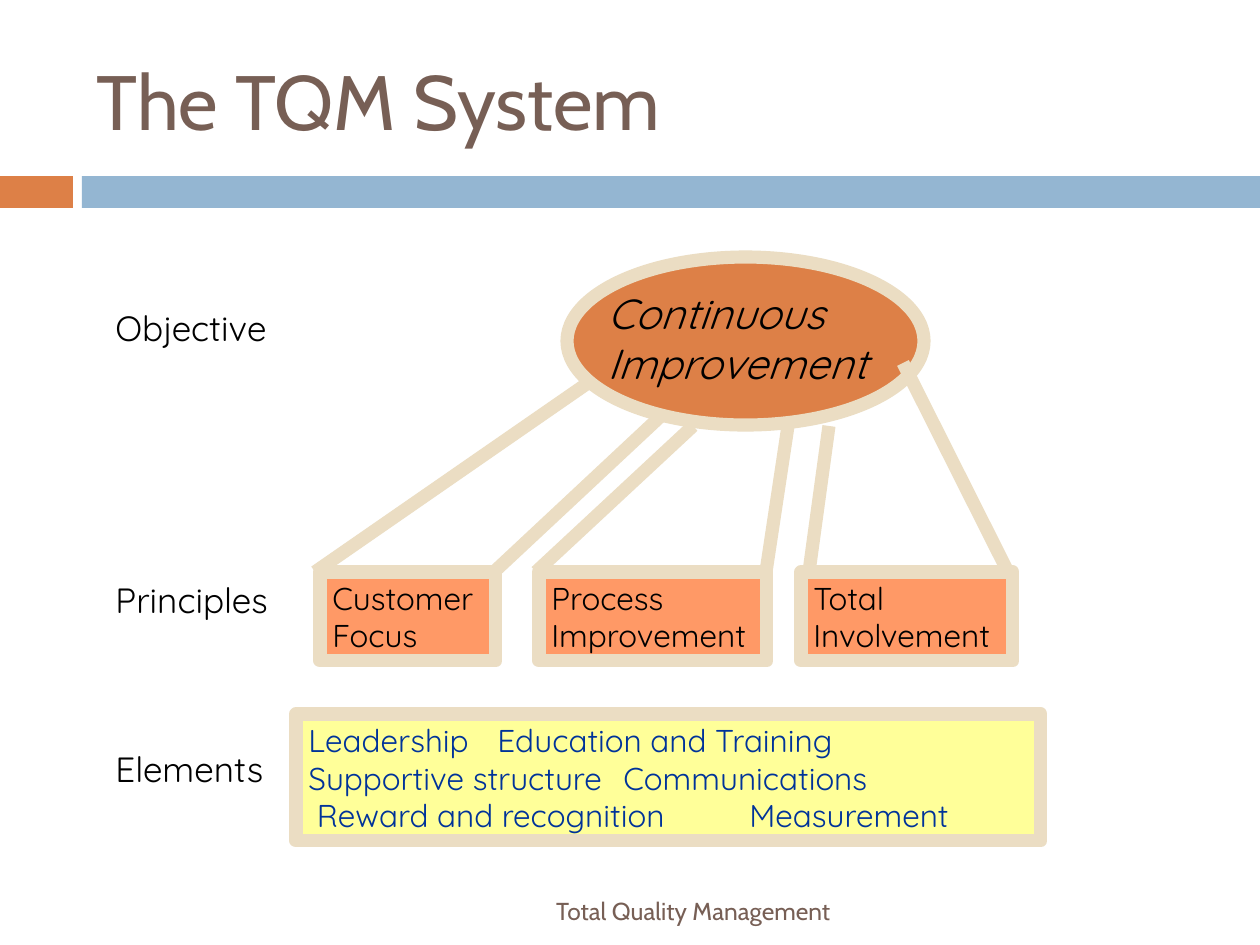
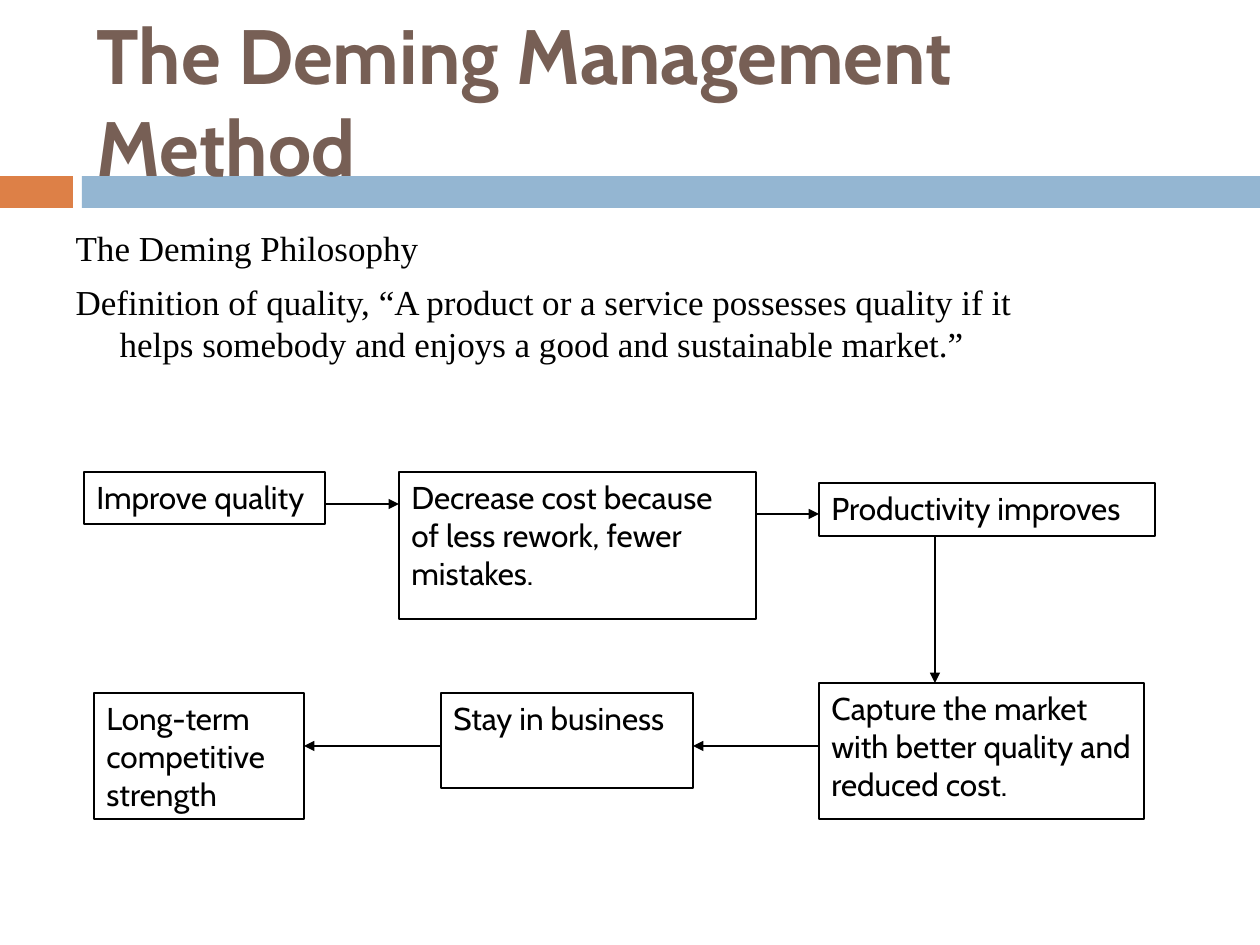
from lxml.etree import SubElement
from pptx import Presentation
from pptx.dml.color import RGBColor
from pptx.enum.shapes import MSO_CONNECTOR, MSO_SHAPE
from pptx.enum.text import MSO_ANCHOR, MSO_AUTO_SIZE, PP_ALIGN
from pptx.oxml.ns import qn
from pptx.util import Emu, Pt

SCALE = 914400 / 126
WIDTH, HEIGHT = 1260, 945
ORANGE, BLUE, BROWN, SAND = "DD8047", "94B6D2", "775F55", "EBDDC3"
SALMON, YELLOW, NAVY, BLACK = "FF9966", "FFFF99", "003399", "000000"
HEADING_FONT, LABEL_FONT, BODY_FONT = "Cabin", "Quicksand", "Times New Roman"
THICK = 7.5


def px(length):
    """Turn pixels into EMU."""
    return Emu(round(length * SCALE))


def color(value):
    """Turn a hex string into a colour."""
    return RGBColor.from_string(value)


def inside(box, left, top, width, height):
    """Return a part of a box, given relative to its corner."""
    return box[0] + left, box[1] + top, width, height


def place(shape, box):
    """Move and size a shape to a box."""
    shape.left, shape.top, shape.width, shape.height = map(px, box)


def write(shape, lines, size, font, ink, anchor=MSO_ANCHOR.MIDDLE,
          align=PP_ALIGN.LEFT, bold=False, italic=False):
    """Write one paragraph for each line into a shape."""
    frame = shape.text_frame
    frame.word_wrap = True
    frame.auto_size = MSO_AUTO_SIZE.NONE
    frame.vertical_anchor = anchor
    for index, line in enumerate(lines):
        paragraph = frame.add_paragraph() if index else frame.paragraphs[0]
        paragraph.alignment = align
        run = paragraph.add_run()
        run.text = line
        run.font.size = Pt(size)
        run.font.name = font
        run.font.bold = bold
        run.font.italic = italic
        run.font.color.rgb = color(ink)


def add_text(slide, box, lines, size, font, ink, **style):
    """Add a text box."""
    write(slide.shapes.add_textbox(*map(px, box)), lines, size, font, ink, **style)


def add_block(slide, box, fill=None, line=None, weight=1, kind=MSO_SHAPE.RECTANGLE):
    """Add a flat preset shape."""
    shape = slide.shapes.add_shape(kind, *map(px, box))
    shape.shadow.inherit = False
    if fill:
        shape.fill.solid()
        shape.fill.fore_color.rgb = color(fill)
    else:
        shape.fill.background()
    if line:
        shape.line.color.rgb = color(line)
        shape.line.width = Pt(weight)
    else:
        shape.line.fill.background()
    return shape


def add_line(slide, start, end, ink, weight, arrow=False):
    """Add a straight line, with an arrowhead at its end if asked."""
    connector = slide.shapes.add_connector(
        MSO_CONNECTOR.STRAIGHT, *map(px, (*start, *end)))
    connector.line.color.rgb = color(ink)
    connector.line.width = Pt(weight)
    if arrow:
        SubElement(connector.line._get_or_add_ln(), qn("a:tailEnd"), type="triangle")
    SubElement(connector.element.spPr, qn("a:effectLst"))


def add_bands(presentation, slide):
    """Put the two coloured bands on the slide master."""
    tree = presentation.slide_master.element.cSld.spTree
    for left, right, fill in ((0, 73, ORANGE), (82, WIDTH, BLUE)):
        band = add_block(slide, (left, 176, right - left, 32), fill)
        tree.append(band.element)


def add_slide(presentation, layout, title, bold=False):
    """Add a slide with the shared title style."""
    slide = presentation.slides.add_slide(presentation.slide_layouts[layout])
    place(slide.shapes.title, (84, 32, 1124, 136))
    write(slide.shapes.title, [title], 44, HEADING_FONT, BROWN, bold=bold)
    return slide


def add_footer(slide, box):
    """Add the footer line."""
    add_text(slide, box, ["Total Quality Management"], 14, HEADING_FONT, BROWN,
             align=PP_ALIGN.RIGHT)


def add_system(slide, box):
    """Draw the objective, its principles and its elements."""
    add_block(slide, inside(box, 465, 0, 357, 168), ORANGE, SAND, THICK, MSO_SHAPE.OVAL)
    principles = (
        (218, 176, ["Customer", "Focus"]),
        (437, 228, ["Process", "Improvement"]),
        (699, 212, ["Total", "Involvement"]),
    )
    for left, width, lines in principles:
        block = add_block(slide, inside(box, left, 315, width, 89), SALMON, SAND, THICK)
        write(block, lines, 18, LABEL_FONT, BLACK)
    elements = add_block(slide, inside(box, 194, 457, 745, 127), YELLOW, SAND, THICK)
    write(elements, ["Leadership\tEducation and Training",
                     "Supportive structure\tCommunications",
                     " Reward and recognition\t\tMeasurement"], 18, LABEL_FONT, NAVY)
    left, top = box[:2]
    rays = ((213, 486, 126), (392, 560, 158), (664, 686, 169),
            (434, 591, 169), (906, 801, 106), (707, 727, 169))
    for foot, head, height in rays:
        add_line(slide, (left + foot, top + 315), (left + head, top + height), SAND, THICK)
    add_text(slide, inside(box, 493, 24, 296, 113), ["Continuous", "Improvement"],
             24, LABEL_FONT, BLACK, italic=True)
    for label, offset in (("Objective", 43), ("Principles", 315), ("Elements", 484)):
        add_text(slide, inside(box, 1, offset, 197, 54), [label], 20, LABEL_FONT, BLACK)


def add_philosophy(slide, box):
    """Fill the body placeholder with hanging paragraphs."""
    body = slide.placeholders[1]
    place(body, box)
    write(body, ["The Deming Philosophy",
                 "Definition of quality, “A product or a service possesses quality "
                 "if it helps somebody and enjoys a good and sustainable market.”"],
          20, BODY_FONT, BLACK, anchor=MSO_ANCHOR.TOP)
    for paragraph in body.text_frame.paragraphs:
        paragraph.space_before = Pt(7)
        properties = paragraph._p.get_or_add_pPr()
        properties.set("marL", str(px(44)))
        properties.set("indent", str(px(-44)))
        SubElement(properties, qn("a:buNone"))


def add_flow(slide, box):
    """Draw the chain of boxes and arrows."""
    steps = (
        (0, 0, 241, 52, "Improve quality"),
        (315, 0, 357, 147, "Decrease cost because of less rework, fewer mistakes."),
        (735, 11, 336, 53, "Productivity improves"),
        (735, 211, 325, 136, "Capture the market with better quality and reduced cost."),
        (357, 221, 252, 95, "Stay in business"),
        (10, 221, 210, 126, "Long-term competitive strength"),
    )
    for *part, label in steps:
        block = add_block(slide, inside(box, *part), line=BLACK)
        write(block, [label], 18, HEADING_FONT, BLACK, anchor=MSO_ANCHOR.TOP)
    left, top = box[:2]
    arrows = ((241, 32, 315, 32), (672, 42, 735, 42), (851, 64, 851, 211),
              (735, 274, 609, 274), (357, 274, 220, 274))
    for x1, y1, x2, y2 in arrows:
        add_line(slide, (left + x1, top + y1), (left + x2, top + y2), BLACK, 0.75, True)


def main():
    """Build and save the presentation."""
    presentation = Presentation()
    presentation.slide_width, presentation.slide_height = px(WIDTH), px(HEIGHT)

    system = add_slide(presentation, 5, "The TQM System")
    add_bands(presentation, system)
    add_footer(system, (444, 892, 399, 38))
    add_system(system, (102, 257, 939, 584))

    method = add_slide(presentation, 1, "The Deming Management Method", bold=True)
    add_philosophy(method, (63, 220, 1029, 242))
    add_flow(method, (84, 472, 1071, 347))

    presentation.save("out.pptx")


main()
